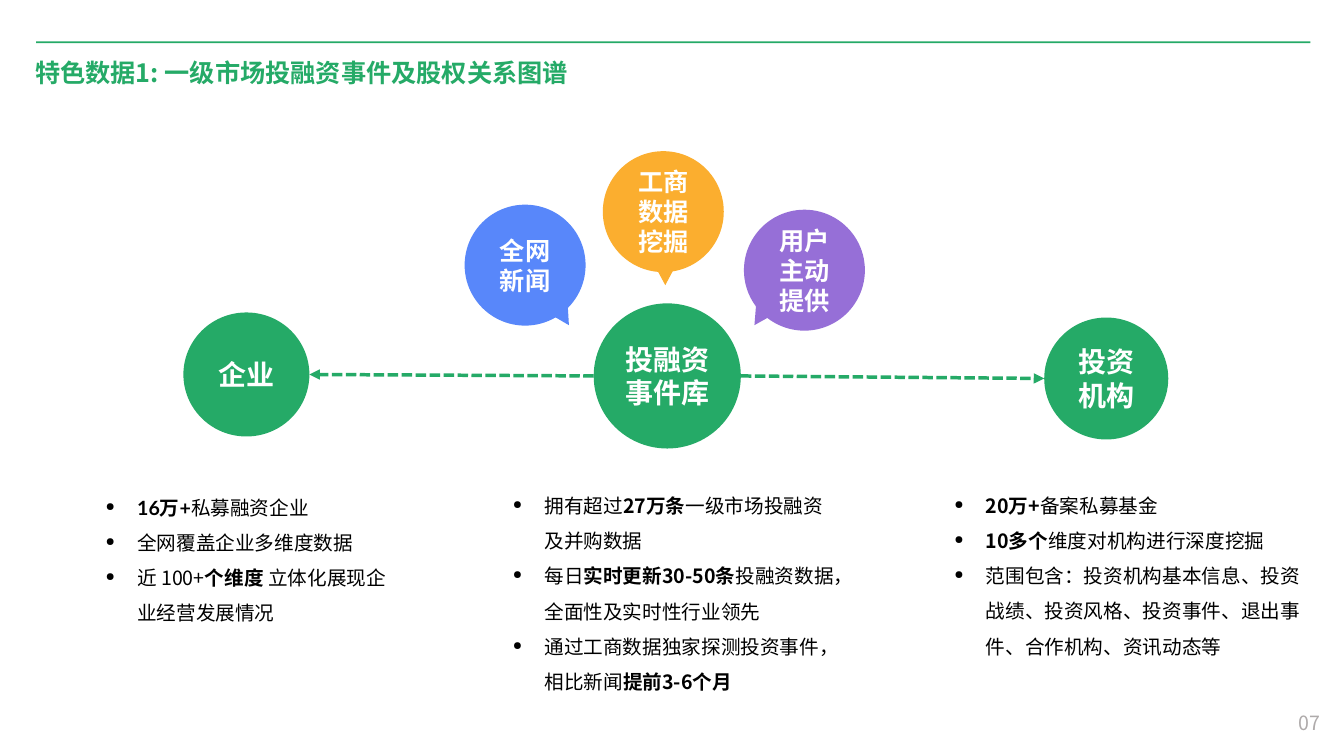
"""Build the slide on primary-market financing events and the equity graph."""
from dataclasses import dataclass
from typing import Optional

import lxml.etree
import pptx
import pptx.dml.color
import pptx.enum.dml
import pptx.enum.shapes
import pptx.enum.text
import pptx.oxml.ns
import pptx.util

Pt = pptx.util.Pt
qn = pptx.oxml.ns.qn
SHAPE = pptx.enum.shapes.MSO_SHAPE
FONT = "Noto Sans CJK JP"
GREEN, WHITE, BLACK, GREY = "25AA67", "FFFFFF", "000000", "AFABAB"
BUBBLE_SIZE = 86.4
TAIL_W, TAIL_H = 13, 12.2


@dataclass
class Run:
    text: str
    bold: bool = False
    latin: str = FONT


@dataclass
class Box:
    x: float
    y: float
    w: float
    h: float

    @property
    def mid(self) -> float:
        return self.y + self.h / 2


@dataclass
class Node:
    box: Box
    lines: list[str]


@dataclass
class Bubble:
    text: str
    color: str
    x: float
    y: float
    tail_x: float
    tail_y: float
    angle: float


@dataclass
class Column:
    box: Box
    points: list[list[Run]]


HUB = Node(Box(424.1, 216.7, 105.1, 103.7), ["投融资", "事件库"])
COMPANY = Node(Box(131, 223.2, 90, 88.6), ["企业"])
INVESTOR = Node(Box(745.9, 226.8, 88.6, 87.1), ["投资", "机构"])

BUBBLES = [
    Bubble("全网新闻", "5887FA", 331.9, 146.2, 396.7, 221, 148.5),
    Bubble("工商数据挖掘", "FBAE2F", 430.6, 108, 468.7, 191.5, 180),
    Bubble("用户主动提供", "966FD7", 531.4, 149.8, 535.7, 221, 212.8),
]

COLUMNS = [
    Column(Box(68.4, 342, 228.2, 108.7), [
        [Run("16万+", True, "Lato"), Run("私募融资企业")],
        [Run("全网覆盖企业多维度数据")],
        [Run("近 100+"), Run("个维度 ", True), Run("立体化展现企业经营发展情况")],
    ]),
    Column(Box(359.3, 340.6, 244.8, 159.8), [
        [Run("拥有超过"), Run("27万条", True), Run("一级市场投融资及并购数据")],
        [Run("每日"), Run("实时更新30-50条", True),
         Run("投融资数据，全面性及实时性行业领先")],
        [Run("通过工商数据独家探测投资事件，相比新闻"), Run("提前3-6个月", True)],
    ]),
    Column(Box(674.6, 340.6, 261.4, 134.6), [
        [Run("20万+", True), Run("备案私募基金")],
        [Run("10多个", True), Run("维度对机构进行深度挖掘")],
        [Run("范围包含：投资机构基本信息、投资战绩、投资风格、投资事件、"
             "退出事件、合作机构、资讯动态等")],
    ]),
]


def rgb(color: str) -> pptx.dml.color.RGBColor:
    return pptx.dml.color.RGBColor.from_string(color)


def add_run(p, run: Run, size: float, color: str) -> None:
    r = p.add_run()
    r.text = run.text
    r.font.size = Pt(size)
    r.font.bold = run.bold
    r.font.name = run.latin
    r.font.color.rgb = rgb(color)
    lxml.etree.SubElement(r.font._element, qn("a:ea")).set("typeface", FONT)


def add_bullet(p) -> None:
    pPr = p._p.get_or_add_pPr()
    pPr.set("marL", str(Pt(22.5)))
    pPr.set("indent", str(Pt(-22.5)))
    lxml.etree.SubElement(pPr, qn("a:buSzPct")).set("val", "60000")
    lxml.etree.SubElement(pPr, qn("a:buChar")).set("char", "●")


def add_text(s, box: Box, paragraphs: list[list[Run]], size: float, color: str,
             bullets: bool = False, wrap: bool = True) -> None:
    sp = s.shapes.add_textbox(Pt(box.x), Pt(box.y), Pt(box.w), Pt(box.h))
    tf = sp.text_frame
    tf.word_wrap = wrap
    tf.auto_size = pptx.enum.text.MSO_AUTO_SIZE.SHAPE_TO_FIT_TEXT
    for i, runs in enumerate(paragraphs):
        p = tf.add_paragraph() if i else tf.paragraphs[0]
        if bullets:
            p.line_spacing = 1.5
            add_bullet(p)
        for run in runs:
            add_run(p, run, size, color)


def add_shape(s, kind, box: Box, color: str, lines: Optional[list[str]] = None,
              size: float = 18, angle: float = 0) -> None:
    sp = s.shapes.add_shape(kind, Pt(box.x), Pt(box.y), Pt(box.w), Pt(box.h))
    sp.shadow.inherit = False
    sp.fill.solid()
    sp.fill.fore_color.rgb = rgb(color)
    sp.line.fill.background()
    sp.rotation = angle
    tf = sp.text_frame
    tf.word_wrap = True
    tf.margin_left = tf.margin_right = Pt(5)
    tf.vertical_anchor = pptx.enum.text.MSO_ANCHOR.MIDDLE
    for i, line in enumerate(lines or []):
        p = tf.add_paragraph() if i else tf.paragraphs[0]
        p.alignment = pptx.enum.text.PP_ALIGN.CENTER
        add_run(p, Run(line, True), size, WHITE)


def add_arrow(s, x1: float, y1: float, x2: float, y2: float) -> None:
    cxn = s.shapes.add_connector(pptx.enum.shapes.MSO_CONNECTOR.STRAIGHT,
                                 Pt(x1), Pt(y1), Pt(x2), Pt(y2))
    cxn.line.color.rgb = rgb(GREEN)
    cxn.line.width = Pt(2.5)
    cxn.line.dash_style = pptx.enum.dml.MSO_LINE.SQUARE_DOT
    ln = cxn.line._get_or_add_ln()
    lxml.etree.SubElement(ln, qn("a:tailEnd")).set("type", "triangle")
    lxml.etree.SubElement(cxn._element.spPr, qn("a:effectLst"))


def main() -> None:
    prs = pptx.Presentation()
    prs.slide_width, prs.slide_height = Pt(960), Pt(540)
    s = prs.slides.add_slide(prs.slide_layouts[6])

    add_shape(s, SHAPE.RECTANGLE, Box(25.9, 29.5, 910.1, 1.4), GREEN)
    title = Run("特色数据1: 一级市场投融资事件及股权关系图谱", True)
    add_text(s, Box(18, 37.4, 396.7, 28.8), [[title]], 18, GREEN)

    for col in COLUMNS:
        add_text(s, col.box, col.points, 14, BLACK, bullets=True)
    for node in (HUB, COMPANY, INVESTOR):
        add_shape(s, SHAPE.OVAL, node.box, GREEN, node.lines, 20)
    for b in BUBBLES:
        add_shape(s, SHAPE.OVAL, Box(b.x, b.y, BUBBLE_SIZE, BUBBLE_SIZE),
                  b.color, [b.text])
        add_shape(s, SHAPE.ISOSCELES_TRIANGLE,
                  Box(b.tail_x, b.tail_y, TAIL_W, TAIL_H), b.color, angle=b.angle)

    hub, company, investor = HUB.box, COMPANY.box, INVESTOR.box
    add_arrow(s, hub.x, hub.mid, company.x + company.w, company.mid)
    add_arrow(s, hub.x + hub.w, hub.mid, investor.x, investor.mid)

    add_text(s, Box(920.2, 504, 30.2, 24.5), [[Run("07")]], 14, GREY, wrap=False)
    prs.save("out.pptx")


if __name__ == "__main__":
    main()
